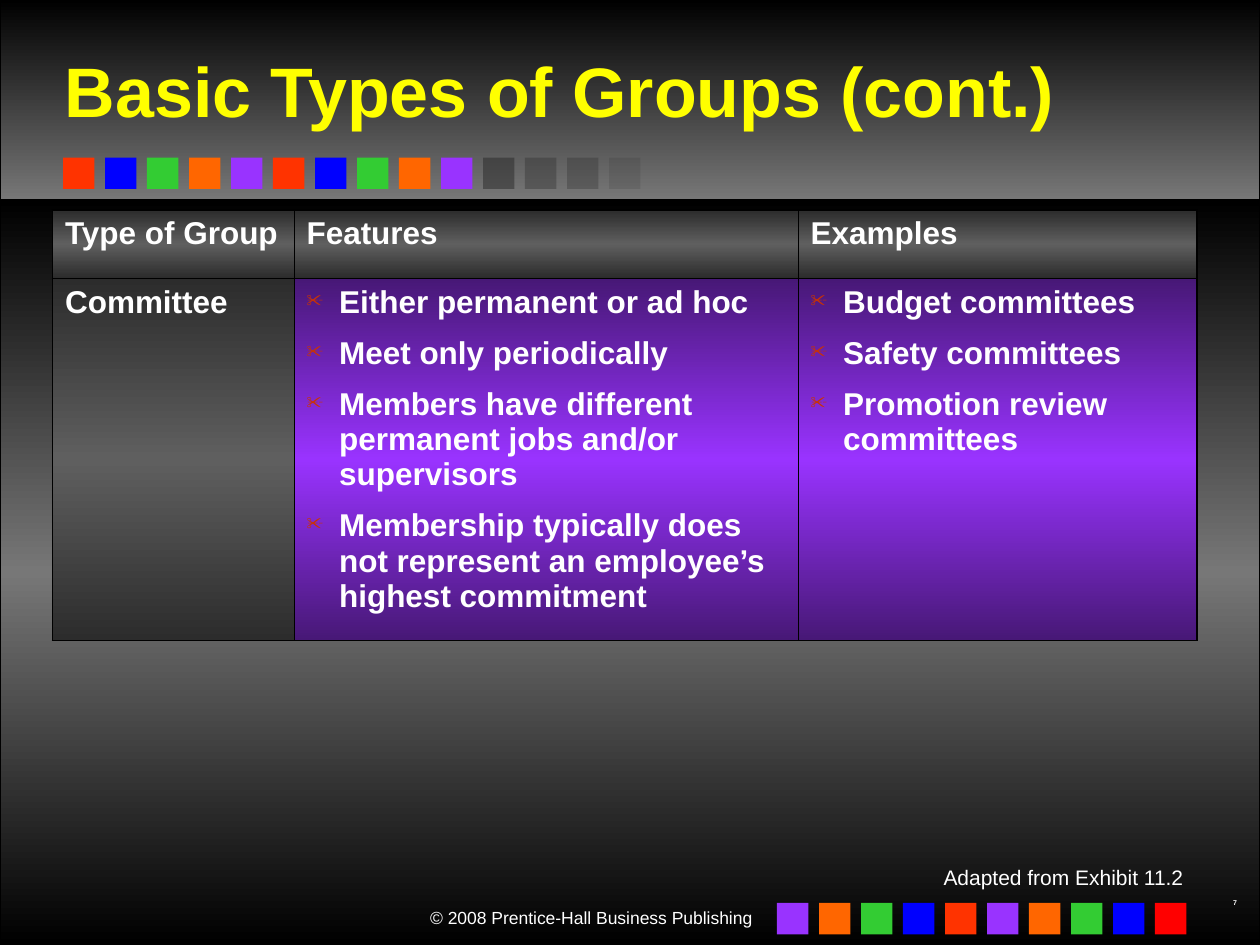
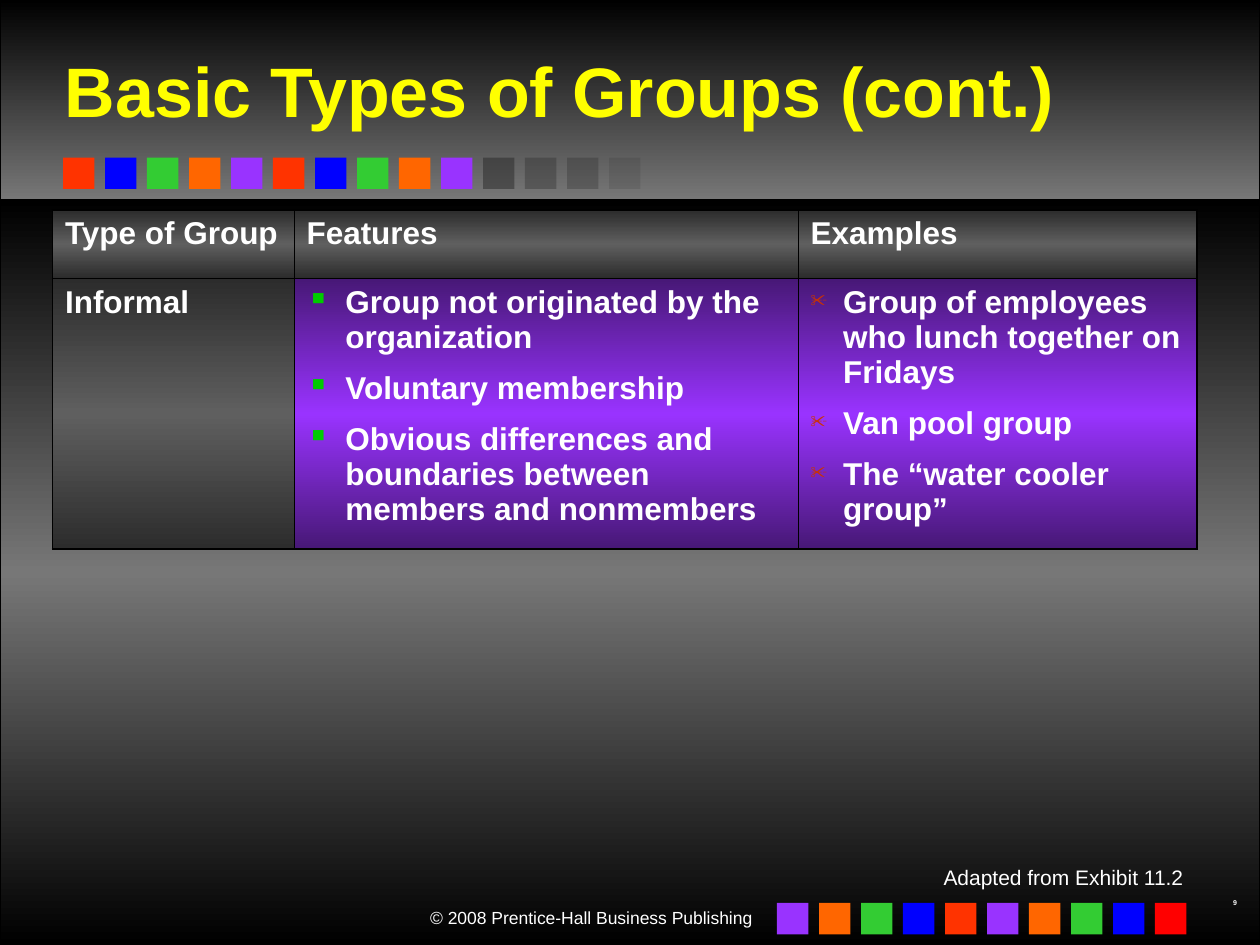
from lxml import etree
from pptx import Presentation
from pptx import util as u
from pptx.dml.color import RGBColor
from pptx.enum import shapes, text
from pptx.oxml import ns

PX = 7620  # EMU per px, 120 px to the inch

BLACK, WHITE, YELLOW = "000000", "FFFFFF", "FFFF00"
RED, BLUE, GREEN, ORANGE, PURPLE = RAINBOW = [
    "FF3300", "0000FF", "33CC33", "FF6600", "9933FF"]
GRAY_BLEND = ["2C2C2C", "5F5F5F", "2C2C2C"]
PURPLE_BLEND = ["471876", PURPLE, "471876"]

# Bullet styles: character, colour, size in percent, indent in px
SCISSORS = ("✂", "CC3300", 55, 31)
SQUARE = ("▪", "00CC00", 100, 37)


def rgb(color):
    return RGBColor.from_string(color)


def px(*lengths):
    return [u.Emu(length * PX) for length in lengths]


def add(parent, tag, **attributes):
    return etree.SubElement(parent, ns.qn(tag), attributes)


class Designer:
    """Holds the deck, the shared style and the current page."""

    font = "Arial"

    def __init__(self):
        self.deck = Presentation()
        self.deck.slide_width, self.deck.slide_height = px(1200, 900)
        self.page = None

    def new_page(self):
        self.page = self.deck.slides.add_slide(self.deck.slide_layouts[6])

    def blend(self, fill, element, colors):
        """Fill from top to bottom with evenly spaced colours."""
        fill.gradient()
        fill.gradient_angle = 270
        stops = next(element.iter(ns.qn("a:gsLst")))
        for stop in list(stops):
            stops.remove(stop)
        for index, color in enumerate(colors):
            position = 100000 * index // (len(colors) - 1)
            stop = add(stops, "a:gs", pos=str(position))
            add(stop, "a:srgbClr", val=color)

    def rectangle(self, left, top, width, height):
        box = self.page.shapes.add_shape(
            shapes.MSO_SHAPE.RECTANGLE, *px(left, top, width, height))
        box.shadow.inherit = False
        box.line.fill.background()
        return box

    def band(self, top, height, colors):
        box = self.rectangle(0, top, 1200, height)
        self.blend(box.fill, box._element, colors)
        box.line.color.rgb = rgb(BLACK)
        box.line.width = u.Pt(0.75)

    def squares(self, left, top, colors):
        """Row of small squares; each colour comes with its opacity."""
        for index, (color, opacity) in enumerate(colors):
            box = self.rectangle(left + 40 * index, top, 30, 30)
            box.fill.solid()
            box.fill.fore_color.rgb = rgb(color)
            if opacity < 100:
                shade = next(box._element.iter(ns.qn("a:srgbClr")))
                add(shade, "a:alpha", val=str(opacity * 1000))

    def format(self, para, size, color=WHITE, bold=False):
        for span in para.runs:
            span.font.name = self.font
            span.font.size = u.Pt(size)
            span.font.bold = bold
            span.font.color.rgb = rgb(color)

    def label(self, place, words, size, color=WHITE, bold=False, right=True):
        box = self.page.shapes.add_textbox(*px(*place))
        box.text_frame.word_wrap = True
        box.text_frame.text = words
        para = box.text_frame.paragraphs[0]
        if right:
            para.alignment = text.PP_ALIGN.RIGHT
        self.format(para, size, color, bold)
        return box

    def title(self, words):
        box = self.label((50, 30, 1130, 110), words, 40, YELLOW, True, False)
        box.text_frame.vertical_anchor = text.MSO_ANCHOR.MIDDLE
        effects = etree.Element(ns.qn("a:effectLst"))
        shadow = add(effects, "a:outerShdw", dist="35921", dir="2700000")
        add(shadow, "a:srgbClr", val=BLACK)
        next(box._element.iter(ns.qn("a:solidFill"))).addnext(effects)

    def bullet(self, para, style):
        character, color, percent, indent = style
        settings = para._p.get_or_add_pPr()
        settings.set("marL", str(indent * PX))
        settings.set("indent", str(-indent * PX))
        add(add(settings, "a:buClr"), "a:srgbClr", val=color)
        add(settings, "a:buSzPct", val=str(percent * 1000))
        add(settings, "a:buChar", char=character)

    def borders(self, cell, outer_sides):
        """Black borders, thicker on the outside of the table."""
        settings = cell._tc.get_or_add_tcPr()
        for index, side in enumerate("LRTB"):
            width = u.Pt(1.08 if side in outer_sides else 0.45)
            line = etree.Element(ns.qn("a:ln" + side), w=str(width))
            add(add(line, "a:solidFill"), "a:srgbClr", val=BLACK)
            settings.insert(index, line)

    def cell(self, cell, lines, colors, outer_sides, style=None):
        cell.text_frame.text = "\n".join(lines)
        for index, para in enumerate(cell.text_frame.paragraphs):
            if style:
                self.bullet(para, style)
            if index:
                para.space_before = u.Pt(9)
            self.format(para, 18, bold=True)
        self.blend(cell.fill, cell._tc, colors)
        self.borders(cell, outer_sides)

    def group_table(self, body_height, group, features, style, examples):
        widths, heights = (230, 480, 380), (65, body_height)
        frame = self.page.shapes.add_table(
            2, 3, *px(50, 200, sum(widths), sum(heights)))
        table = frame.table
        table.first_row = table.horz_banding = False
        for column, width in zip(table.columns, px(*widths)):
            column.width = width
        for row, height in zip(table.rows, px(*heights)):
            row.height = height
        headings = ["Type of Group", "Features", "Examples"]
        bodies = [([group], GRAY_BLEND, None),
                  (features, PURPLE_BLEND, style),
                  (examples, PURPLE_BLEND, SCISSORS)]
        for index, side in enumerate(("L", "", "R")):
            lines, colors, bullets = bodies[index]
            self.cell(table.cell(0, index), [headings[index]], GRAY_BLEND,
                      side + "T")
            self.cell(table.cell(1, index), lines, colors, side + "B", bullets)

    def backdrop(self):
        """Bands, squares and copyright line common to all pages."""
        self.band(0, 190, [BLACK, "777777"])
        self.band(190, 710, [BLACK, "777777", BLACK])
        box = self.label((350, 858, 378, 32),
                         "© 2008 Prentice-Hall Business Publishing", 10)
        box.text_frame.auto_size = text.MSO_AUTO_SIZE.SHAPE_TO_FIT_TEXT
        faded = [("292929", opacity) for opacity in (50, 35, 30, 15)]
        self.squares(60, 150, [(color, 100) for color in RAINBOW * 2] + faded)
        footer = RAINBOW[::-1] + RAINBOW[:0:-1] + ["FF0000"]
        self.squares(740, 860, [(color, 100) for color in footer])

    def credit(self):
        box = self.label((850, 820, 289, 34), "Adapted from Exhibit 11.2", 12)
        box.text_frame.auto_size = text.MSO_AUTO_SIZE.SHAPE_TO_FIT_TEXT
        box.text_frame.paragraphs[0].line_spacing = 0.9

    def group_page(self, number, *table_content):
        self.new_page()
        self.backdrop()
        self.label((1130, 850, 60, 20), str(number), 4, bold=True)
        self.title("Basic Types of Groups (cont.)")
        self.group_table(*table_content)
        self.credit()


def main():
    designer = Designer()

    # Committees
    designer.group_page(
        7, 344, "Committee",
        ["Either permanent or ad hoc",
         "Meet only periodically",
         "Members have different permanent jobs and/or supervisors",
         "Membership typically does not represent an employee’s "
         "highest commitment"],
        SCISSORS,
        ["Budget committees", "Safety committees",
         "Promotion review committees"])

    # Informal groups
    designer.group_page(
        9, 258, "Informal",
        ["Group not originated by the organization",
         "Voluntary membership",
         "Obvious differences and boundaries between members and nonmembers"],
        SQUARE,
        ["Group of employees who lunch together on Fridays",
         "Van pool group", "The “water cooler group”"])

    designer.deck.save("out.pptx")


if __name__ == "__main__":
    main()
